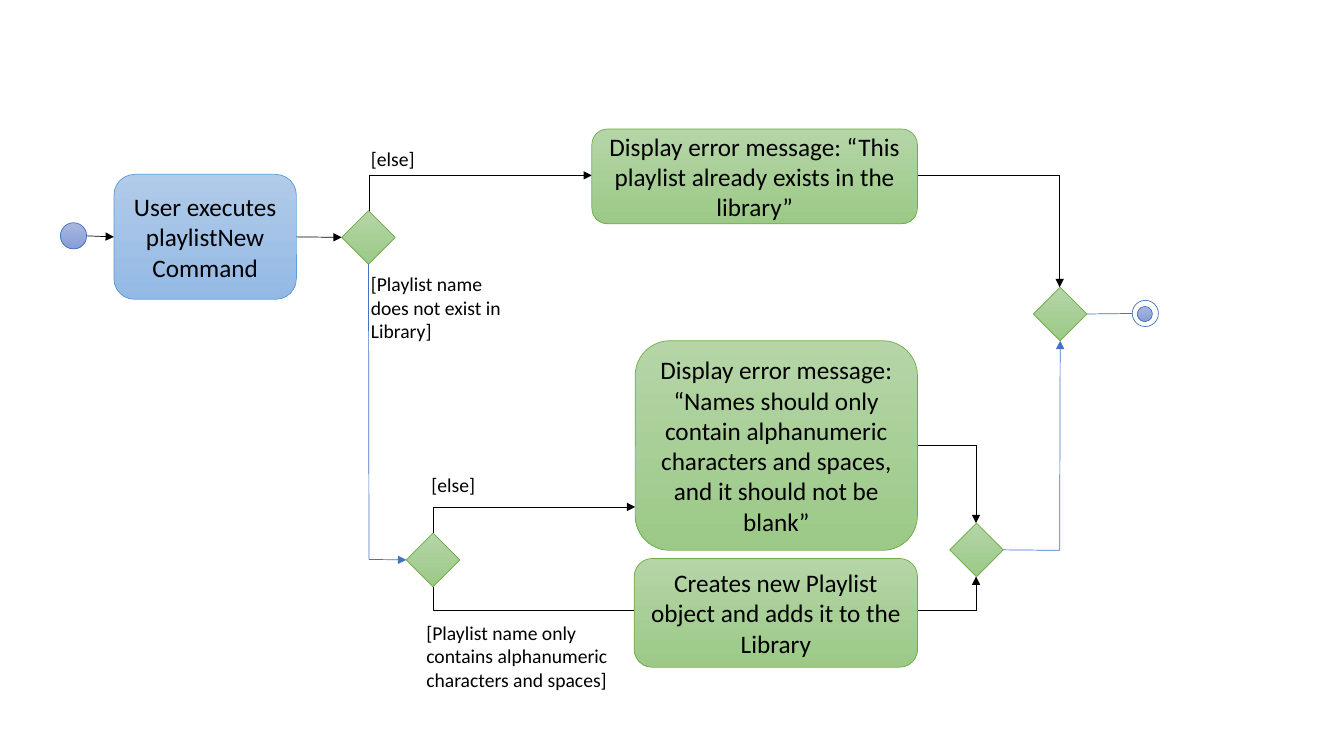
"""Build the activity diagram for the playlistNew command."""
from dataclasses import dataclass

from lxml import etree
from pptx import Presentation
from pptx import util as u
from pptx.dml.color import RGBColor
from pptx.enum import shapes, text
from pptx.oxml import ns

BLACK = RGBColor(0x00, 0x00, 0x00)
WHITE = RGBColor(0xFF, 0xFF, 0xFF)
NAVY = RGBColor(0x44, 0x72, 0xC4)
BLUE = RGBColor(0x5B, 0x9B, 0xD5)
GREEN = RGBColor(0x70, 0xAD, 0x47)
SHADES = {
    NAVY: (RGBColor(0xA8, 0xB7, 0xDF), RGBColor(0x88, 0x9E, 0xD7)),
    BLUE: (RGBColor(0xB1, 0xCB, 0xE9), RGBColor(0x93, 0xB9, 0xE4)),
    GREEN: (RGBColor(0xB5, 0xD5, 0xA7), RGBColor(0x9C, 0xC9, 0x87)),
}
FONT = "Calibri"
DIAMOND = 0.53
TOP, LEFT, BOTTOM, RIGHT = range(4)
KIND = shapes.MSO_SHAPE


@dataclass
class Node:
    kind: shapes.MSO_SHAPE
    left: float
    top: float
    width: float
    height: float
    color: RGBColor
    words: str = ""
    plain: bool = False


@dataclass
class Label:
    left: float
    top: float
    width: float
    height: float
    words: str


@dataclass
class Elbow:
    start: tuple[float, float]
    end: tuple[float, float]
    vertical_first: bool = False
    bend: int | None = None


@dataclass
class Line:
    start: tuple[float, float]
    end: tuple[float, float]
    color: RGBColor
    arrow: bool
    source: str = ""
    source_side: int = RIGHT
    target: str = ""
    target_side: int = LEFT


def diamond(left: float, top: float) -> Node:
    return Node(KIND.DIAMOND, left, top, DIAMOND, DIAMOND, GREEN)


def box(left: float, top: float, width: float, height: float,
        words: str, color: RGBColor = GREEN) -> Node:
    return Node(KIND.ROUNDED_RECTANGLE, left, top, width, height, color, words)


def circle(left: float, top: float, size: float, plain: bool = False) -> Node:
    return Node(KIND.OVAL, left, top, size, size, NAVY, plain=plain)


NODES = {
    "start": circle(0.6, 2.21, 0.26),
    "command": box(1.13, 1.73, 1.81, 1.24, "User executes playlistNew Command", BLUE),
    "exists": diamond(3.39, 2.09),
    "valid": diamond(4.03, 5.29),
    "merge names": diamond(9.42, 5.19),
    "merge all": diamond(10.25, 2.85),
    "duplicate": box(5.87, 1.28, 3.23, 0.94, "Display error message: “This playlist "
                     "already exists in the library”"),
    "bad name": box(6.3, 3.38, 2.8, 2.08, "Display error message: “Names should only "
                    "contain alphanumeric characters and spaces, and it should not be blank”"),
    "create": box(6.29, 5.54, 2.81, 1.08,
                  "Creates new Playlist object and adds it to the Library"),
    "end ring": circle(11.23, 2.98, 0.26, plain=True),
    "end dot": circle(11.28, 3.04, 0.15),
}
LABELS = [
    Label(3.58, 1.41, 1.72, 0.34, "[else]"),
    Label(3.58, 2.65, 1.54, 0.81, "[Playlist name does not exist in Library]"),
    Label(4.18, 4.64, 2.13, 0.34, "[else]"),
    Label(4.13, 6.11, 2.24, 0.81,
          "[Playlist name only contains alphanumeric characters and spaces]"),
]
ELBOWS = [
    Elbow((3.66, 2.09), (5.87, 1.74), vertical_first=True),
    Elbow((9.1, 1.74), (10.51, 2.85)),
    Elbow((4.3, 5.29), (6.3, 5.03), vertical_first=True),
    Elbow((4.3, 5.81), (9.68, 5.72), vertical_first=True, bend=-267800),
    Elbow((9.1, 4.42), (9.68, 5.19)),
]
LINES = [
    Line((0.86, 2.34), (1.13, 2.35), BLACK, True, target="command"),
    Line((2.94, 2.35), (3.39, 2.35), BLACK, True, source="command", target="exists"),
    Line((10.78, 3.11), (11.23, 3.11), NAVY, False, source="merge all"),
    Line((3.66, 2.62), (3.66, 5.55), NAVY, False, source="exists", source_side=BOTTOM),
    Line((3.66, 5.55), (4.03, 5.55), NAVY, True, target="valid"),
    Line((9.95, 5.46), (10.51, 5.46), NAVY, False, source="merge names"),
    Line((10.51, 5.46), (10.51, 3.38), NAVY, True, target="merge all", target_side=BOTTOM),
]


def set_words(tf, words: str, size: int, align: text.PP_ALIGN) -> None:
    tf.word_wrap = True
    tf.text = words
    p = tf.paragraphs[0]
    p.alignment = align
    r = p.runs[0]
    r.font.name, r.font.size = FONT, u.Pt(size)
    r.font.color.rgb = BLACK


def add_node(s, node: Node):
    sp = s.shapes.add_shape(node.kind, u.Inches(node.left), u.Inches(node.top),
                            u.Inches(node.width), u.Inches(node.height))
    sp.shadow.inherit = False
    sp.line.color.rgb = node.color
    sp.line.width = u.Pt(0.5)
    if node.plain:
        sp.fill.solid()
        sp.fill.fore_color.rgb = WHITE
    else:
        sp.fill.gradient()
        sp.fill.gradient_angle = 270
        for stop, shade in zip(sp.fill.gradient_stops, SHADES[node.color]):
            stop.color.rgb = shade
    if node.words:
        sp.text_frame.vertical_anchor = text.MSO_ANCHOR.MIDDLE
        set_words(sp.text_frame, node.words, 18, text.PP_ALIGN.CENTER)
    return sp


def add_label(s, label: Label) -> None:
    sp = s.shapes.add_textbox(u.Inches(label.left), u.Inches(label.top),
                              u.Inches(label.width), u.Inches(label.height))
    set_words(sp.text_frame, label.words, 14, text.PP_ALIGN.LEFT)


def add_link(s, kind: shapes.MSO_CONNECTOR, start: tuple[float, float],
             end: tuple[float, float], color: RGBColor, arrow: bool):
    cxn = s.shapes.add_connector(kind, *map(u.Inches, start + end))
    cxn.line.color.rgb = color
    cxn.line.width = u.Pt(0.5)
    if arrow:
        etree.SubElement(cxn.line._get_or_add_ln(), ns.qn("a:tailEnd"), type="triangle")
    etree.SubElement(cxn._element.spPr, ns.qn("a:effectLst"))
    return cxn


def add_elbow(s, elbow: Elbow) -> None:
    cxn = add_link(s, shapes.MSO_CONNECTOR.ELBOW, elbow.start, elbow.end, BLACK, True)
    sp_pr = cxn._element.spPr
    geom = sp_pr.find(ns.qn("a:prstGeom"))
    if elbow.bend is None:
        geom.set("prst", "bentConnector2")
    else:
        guides = geom.find(ns.qn("a:avLst"))
        etree.SubElement(guides, ns.qn("a:gd"), name="adj1", fmla=f"val {elbow.bend}")
    if elbow.vertical_first:
        (x1, y1), (x2, y2) = elbow.start, elbow.end
        width, height = abs(y2 - y1), abs(x2 - x1)
        cxn.left = u.Inches((x1 + x2 - width) / 2)
        cxn.top = u.Inches((y1 + y2 - height) / 2)
        cxn.width, cxn.height = u.Inches(width), u.Inches(height)
        for key, value in (("rot", "5400000"), ("flipH", "1"), ("flipV", "1")):
            sp_pr.find(ns.qn("a:xfrm")).set(key, value)


def main() -> None:
    prs = Presentation()
    prs.slide_width, prs.slide_height = u.Inches(13.33), u.Inches(7.5)
    s = prs.slides.add_slide(prs.slide_layouts[6])
    for elbow in ELBOWS:
        add_elbow(s, elbow)
    drawn = {name: add_node(s, node) for name, node in NODES.items()}
    s.shapes.add_group_shape([drawn["end ring"], drawn["end dot"]])
    for line in LINES:
        cxn = add_link(s, shapes.MSO_CONNECTOR.STRAIGHT, line.start, line.end,
                       line.color, line.arrow)
        if line.source:
            cxn.begin_connect(drawn[line.source], line.source_side)
        if line.target:
            cxn.end_connect(drawn[line.target], line.target_side)
    for label in LABELS:
        add_label(s, label)
    prs.save("out.pptx")


if __name__ == "__main__":
    main()
